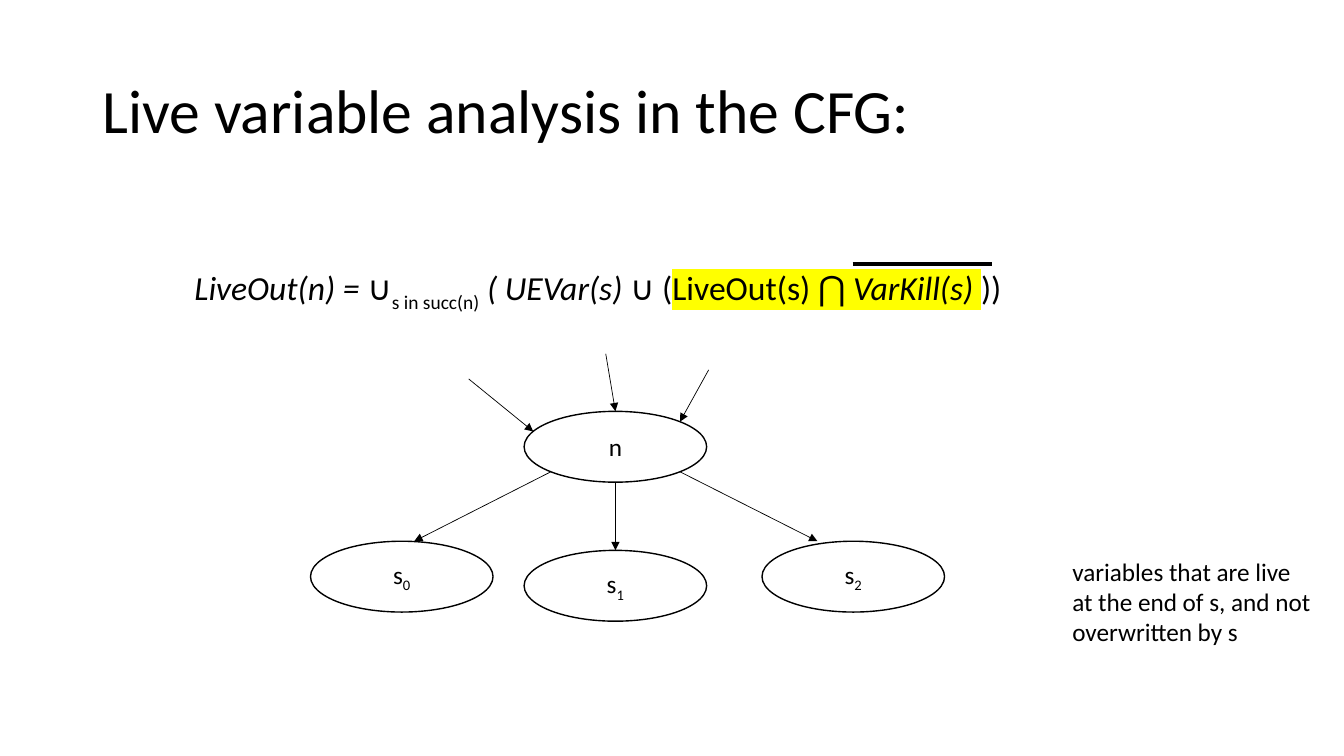
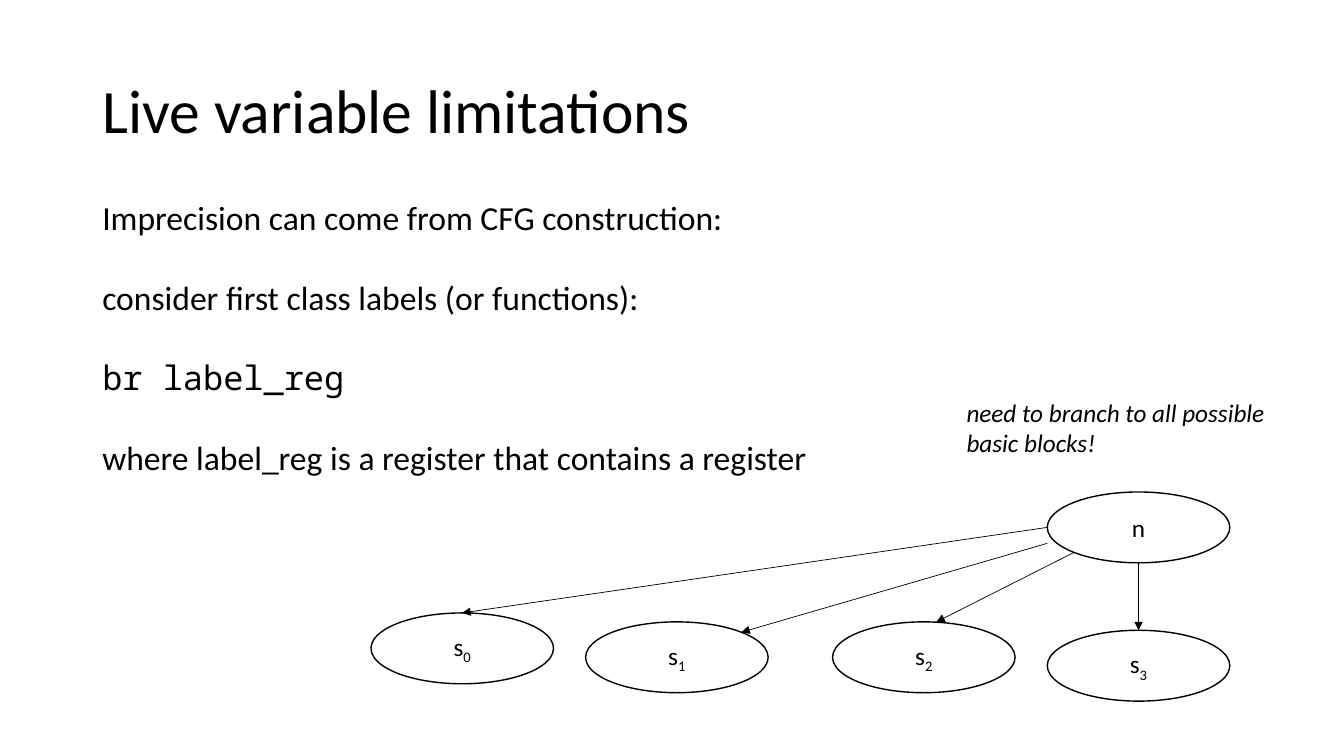
from math import sqrt

from lxml import etree
from pptx import Presentation
from pptx.dml.color import RGBColor
from pptx.enum.shapes import MSO_CONNECTOR, MSO_SHAPE
from pptx.enum.text import MSO_ANCHOR, PP_ALIGN
from pptx.oxml.ns import qn
from pptx.util import Pt

STRAIGHT = MSO_CONNECTOR.STRAIGHT
OVAL = MSO_SHAPE.OVAL
TOP, MIDDLE = MSO_ANCHOR.TOP, MSO_ANCHOR.MIDDLE
CENTER = PP_ALIGN.CENTER

BLACK, WHITE, YELLOW = "000000", "FFFFFF", "FFFF00"
SANS, MONO = "Calibri", "Noto Sans Mono"
TITLE_SIZE, BODY_SIZE, LABEL_SIZE = 44, 24, 18
TITLE_AREA = (66, 28.8, 828, 104.4)
NODE_WIDTH, NODE_HEIGHT = 130.4, 50.6

ITALIC = {"italic": True}
SUBSCRIPT = {"subscript": True}
MARKED = {"highlight": YELLOW}

# A text is a list of paragraphs, a paragraph a list of (wording, style) runs.
# An arrow end is a point or a (node, site) pair.
SLIDES = [
    {
        "title": "Live variable analysis in the CFG:",
        "texts": [
            {"area": (131.8, 187.2, 618.5, 36), "size": BODY_SIZE, "wrap": False,
             "paragraphs": [[
                 ("LiveOut(n) = ", ITALIC), ("∪", {}), ("s in succ(n)", SUBSCRIPT),
                 (" ( UEVar(s) ", ITALIC), ("∪ (", {}), ("LiveOut(s) ⋂", MARKED),
                 (" VarKill(s) ", {**ITALIC, **MARKED}), ("))", {})]]},
            {"area": (758.9, 393.8, 187.2, 72.7), "size": LABEL_SIZE, "wrap": False,
             "paragraphs": [[("variables that are live", {})],
                            [("at the end of s, and not", {})],
                            [("overwritten by s", {})]]},
        ],
        "overlines": [((609.1, 188.6), (708.5, 188.6))],
        "nodes": {"n": (374.4, 293.8), "s0": (221.8, 386.6),
                  "s1": (374.4, 393.1), "s2": (544.3, 386.6)},
        "arrows": [
            (("n", "bottom left"), (295.9, 386.6)),
            (("n", "bottom"), ("s1", "top")),
            (("n", "bottom right"), (583.9, 386.6)),
            ((334.8, 270.7), (380.9, 308.2)),
            ((432.7, 252.7), ("n", "top")),
            ((506.2, 264.2), ("n", "top right")),
        ],
    },
    {
        "title": "Live variable limitations",
        "texts": [
            {"area": (66, 136.8, 570.2, 211), "size": BODY_SIZE, "gap": 28.5,
             "paragraphs": [
                 [("Imprecision can come from CFG construction:", {})],
                 [("consider first class labels (or functions):", {})],
                 [("br label_reg", {"font": MONO})],
                 [("where label_reg is a register that contains a register", {})]]},
            {"area": (683.3, 280.1, 231.8, 51.1), "size": LABEL_SIZE, "wrap": False,
             "paragraphs": [[("need to branch to all possible", ITALIC)],
                            [("basic blocks!", ITALIC)]]},
        ],
        "overlines": [],
        "nodes": {"n": (748.1, 351.4), "s0": (265, 437.8), "s1": (418.3, 444.2),
                  "s2": (594.7, 444.2), "s3": (748.1, 450.2)},
        "arrows": [
            (("n", "bottom left"), (668.9, 444.2)),
            (("n", "bottom"), ("s3", "top")),
            (("n", "left"), ("s0", "top")),
            ((748.1, 388.1), ("s1", "top right")),
        ],
    },
]


def color(value):
    return RGBColor.from_string(value)


def points(values):
    return [Pt(value) for value in values]


def add_run(para, wording, size, font=SANS, italic=False, subscript=False,
            highlight=None):
    span = para.add_run()
    span.text = wording
    span.font.size = Pt(size)
    span.font.italic = italic
    span.font.color.rgb = color(BLACK)
    span.font.name = font
    properties = span._r.get_or_add_rPr()
    if subscript:
        properties.set("baseline", "-25000")
    if highlight:
        marker = etree.Element(qn("a:highlight"))
        etree.SubElement(marker, qn("a:srgbClr"), val=highlight)
        properties.find(qn("a:latin")).addprevious(marker)


def add_text(page, area, paragraphs, size, wrap=True, gap=0, anchor=TOP,
             line_spacing=None):
    frame = page.shapes.add_textbox(*points(area)).text_frame
    frame.word_wrap = wrap
    frame.vertical_anchor = anchor
    for index, runs in enumerate(paragraphs):
        para = frame.add_paragraph() if index else frame.paragraphs[0]
        para.line_spacing = line_spacing
        if index:
            para.space_before = Pt(gap)
        for wording, style in runs:
            add_run(para, wording, size, **style)


def add_node(page, name, corner):
    node = page.shapes.add_shape(OVAL, *points((*corner, NODE_WIDTH, NODE_HEIGHT)))
    node.shadow.inherit = False
    node.fill.solid()
    node.fill.fore_color.rgb = color(WHITE)
    node.line.color.rgb = color(BLACK)
    node.line.width = Pt(1)
    node.text_frame.vertical_anchor = MIDDLE
    para = node.text_frame.paragraphs[0]
    para.alignment = CENTER
    add_run(para, name[0], LABEL_SIZE)
    if name[1:]:
        add_run(para, name[1:], LABEL_SIZE, subscript=True)
    return node


def site_point(corner, site):
    """Point on a node's outline; diagonal sites lie at 45 degrees."""
    across = ("right" in site) - ("left" in site)
    down = ("bottom" in site) - ("top" in site)
    reach = 1 / sqrt(2) if across and down else 1
    return (corner[0] + NODE_WIDTH / 2 * (1 + across * reach),
            corner[1] + NODE_HEIGHT / 2 * (1 + down * reach))


def add_line(page, start, end, width):
    line = page.shapes.add_connector(STRAIGHT, *points((*start, *end)))
    line.line.color.rgb = color(BLACK)
    line.line.width = Pt(width)
    etree.SubElement(line._element.spPr, qn("a:effectLst"))
    return line


def add_arrow(page, start, end, corners, nodes):
    ends = [site_point(corners[place[0]], place[1]) if place[0] in corners else place
            for place in (start, end)]
    arrow = add_line(page, *ends, 0.5)
    etree.SubElement(arrow.line._get_or_add_ln(), qn("a:tailEnd"), type="triangle")
    if end[1] == "top":
        arrow.end_connect(nodes[end[0]], 0)


def add_slide(deck, content):
    page = deck.slides.add_slide(deck.slide_layouts[6])
    add_text(page, TITLE_AREA, [[(content["title"], {})]], TITLE_SIZE,
             anchor=MIDDLE, line_spacing=0.9)
    for text in content["texts"]:
        add_text(page, **text)
    for start, end in content["overlines"]:
        add_line(page, start, end, 2.25)
    corners = content["nodes"]
    nodes = {name: add_node(page, name, corner) for name, corner in corners.items()}
    for start, end in content["arrows"]:
        add_arrow(page, start, end, corners, nodes)


def main():
    deck = Presentation()
    deck.slide_width, deck.slide_height = Pt(960), Pt(540)
    for content in SLIDES:
        add_slide(deck, content)
    deck.save("out.pptx")


if __name__ == "__main__":
    main()
